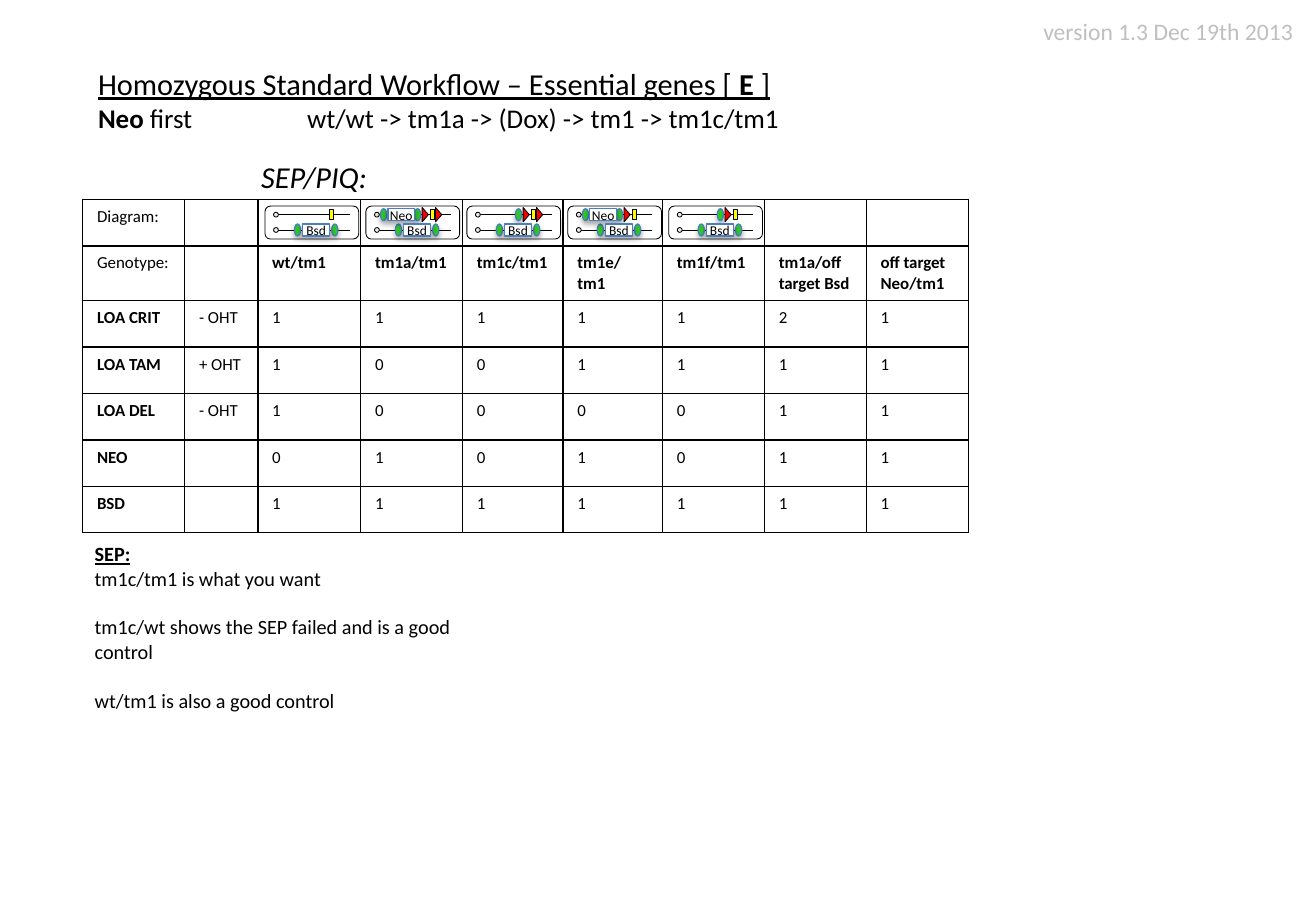
from dataclasses import dataclass

from lxml.etree import SubElement
from pptx import Presentation
from pptx.dml.color import RGBColor
from pptx.enum.shapes import MSO_CONNECTOR, MSO_SHAPE as SHAPE
from pptx.enum.text import MSO_ANCHOR, PP_ALIGN
from pptx.oxml import parse_xml
from pptx.oxml.ns import nsdecls, qn
from pptx.util import Cm, Pt


@dataclass(frozen=True)
class Theme:
    font: str = "Calibri"
    black: str = "000000"
    grey: str = "BFBFBF"
    white: str = "FFFFFF"
    ring: str = "EEECE1"
    exon: str = "FFFF00"
    lox: str = "FF0000"
    frt: str = "2EC728"
    outline: str = "4B7EBC"
    title: float = 18
    subtitle: float = 16
    version: float = 14
    notes: float = 12
    cell: float = 10
    label: float = 8
    thin: float = 0.5
    medium: float = 0.75


theme = Theme()


def write(paragraph, runs, size, color=theme.black, bold=None):
    """Fill a paragraph with (text, bold) runs in one font."""
    font = paragraph.font
    font.name, font.size, font.bold = theme.font, Pt(size), bold
    font.color.rgb = RGBColor.from_string(color)
    for text, strong in runs:
        run = paragraph.add_run()
        run.text = text
        if strong:
            run.font.bold = True
    return paragraph


def add_part(group, kind, center_x, center_y, width, height, fill, raised=False):
    """Add a shape by its centre; raised parts get a blue outline and a shadow."""
    part = group.shapes.add_shape(kind, Cm(center_x - width / 2), Cm(center_y - height / 2),
                                  Cm(width), Cm(height))
    part.shadow.inherit = False
    if fill:
        part.fill.solid()
        part.fill.fore_color.rgb = RGBColor.from_string(fill)
    else:
        part.fill.background()
    part.line.color.rgb = RGBColor.from_string(theme.outline if raised else theme.black)
    part.line.width = Pt(theme.medium if raised else theme.thin)
    if raised:
        part._element.spPr.find(qn("a:effectLst")).append(parse_xml(
            f'<a:outerShdw {nsdecls("a")} blurRad="40000" dist="23000" dir="5400000" '
            f'rotWithShape="0"><a:srgbClr val="{theme.black}"><a:alpha val="35000"/>'
            '</a:srgbClr></a:outerShdw>'))
    return part


deck = Presentation()
deck.slide_width, deck.slide_height = Cm(27.51), Cm(19.05)
slide = deck.slides.add_slide(deck.slide_layouts[6])

# Text boxes
frames = []
for left, top, width, height in [(1.8, 1.24, 14.99, 1.7), (5.21, 3.18, 2.95, 1.02),
                                 (21.56, 0.23, 5.95, 0.86), (1.73, 11.2, 8.53, 3.84)]:
    frame = slide.shapes.add_textbox(Cm(left), Cm(top), Cm(width), Cm(height)).text_frame
    frame.word_wrap = True
    frames.append(frame)
heading, section, version, notes = frames

title = write(heading.paragraphs[0],
              [("Homozygous Standard Workflow – Essential genes [ ", False), ("E", True),
               (" ]", False)], theme.title)
title.font.underline = True
workflow = write(heading.add_paragraph(),
                 [("Neo", True), (" first\twt/wt -> tm1a -> (Dox) -> tm1 -> tm1c/tm1", False)],
                 theme.subtitle)
workflow._p.get_or_add_pPr().insert(0, parse_xml(
    f'<a:tabLst {nsdecls("a")}><a:tab pos="{Cm(4.37)}" algn="l"/></a:tabLst>'))

write(section.paragraphs[0], [("SEP/PIQ:", False)], theme.title).font.italic = True
write(version.paragraphs[0], [("version 1.3 Dec 19th 2013", False)], theme.version, theme.grey)

write(notes.paragraphs[0], [("SEP:", False)], theme.notes, bold=True).font.underline = True
for text, gap in [("tm1c/tm1 is what you want", 0),
                  ("tm1c/wt shows the SEP failed and is a good control", 14.6),
                  ("wt/tm1 is also a good control", 14.6)]:
    write(notes.add_paragraph(), [(text, False)], theme.notes).space_before = Pt(gap)

# Genotype table
rows = [
    ["Diagram:"] + [""] * 8,
    ["Genotype:", "", "wt/tm1", "tm1a/tm1", "tm1c/tm1", "tm1e/tm1", "tm1f/tm1",
     "tm1a/off target Bsd", "off target Neo/tm1"],
    ["LOA CRIT", "- OHT", *"1111121"],
    ["LOA TAM", "+ OHT", *"1001111"],
    ["LOA DEL", "- OHT", *"1000011"],
    ["NEO", "", *"0101011"],
    ["BSD", "", *"1111111"],
]
column_widths = [2.13, 1.53, 2.15, 2.13, 2.1, 2.08, 2.13, 2.13, 2.13]
row_height = 0.97
table = slide.shapes.add_table(len(rows), len(column_widths), Cm(1.73), Cm(4.17),
                               Cm(sum(column_widths)), Cm(row_height * len(rows))).table
table.first_row = table.horz_banding = False
for column, width in zip(table.columns, column_widths):
    column.width = Cm(width)
for r, texts in enumerate(rows):
    table.rows[r].height = Cm(row_height)
    for c, text in enumerate(texts):
        cell = table.cell(r, c)
        cell.margin_left = cell.margin_right = Cm(0.3)
        cell.margin_top = cell.margin_bottom = Cm(0.15)
        cell.fill.background()
        bold = (r == 1 and c > 0) or (r > 1 and c == 0)
        paragraph = write(cell.text_frame.paragraphs[0], [(text, False)] if text else [],
                          theme.cell, bold=bold)
        if not text:
            SubElement(paragraph._p, qn("a:endParaRPr"), sz=str(theme.cell * 100))
        for place, side in enumerate(["lnL", "lnR", "lnT", "lnB"]):
            cell._tc.get_or_add_tcPr().insert(place, parse_xml(
                f'<a:{side} {nsdecls("a")} w="{Pt(1)}"><a:solidFill>'
                f'<a:srgbClr val="{theme.black}"/></a:solidFill></a:{side}>'))

# Allele diagrams: lox sites, FRT sites and cassette on the upper strand
diagrams = [
    ([], [], None),
    ([1.24, 1.52], [0.37, 1.08], "Neo"),
    ([1.24, 1.52], [1.08], None),
    ([1.24], [0.37, 1.08], "Neo"),
    ([1.24], [1.08], None),
]
card_width, card_height = 1.96, 0.69
for index, (lox_sites, frt_sites, cassette) in enumerate(diagrams):
    left, top = 5.54 + 2.11 * index, 4.31
    upper, lower = top + 0.18, top + 0.5
    group = slide.shapes.add_group_shape()
    add_part(group, SHAPE.ROUNDED_RECTANGLE, left + card_width / 2, top + card_height / 2,
             card_width, card_height, None)

    # Strands
    for y in (upper, lower):
        strand = group.shapes.add_connector(MSO_CONNECTOR.STRAIGHT, Cm(left + 0.28), Cm(y),
                                            Cm(left + 1.77), Cm(y))
        strand.line.color.rgb = RGBColor.from_string(theme.black)
        strand.line.width = Pt(theme.thin)
        SubElement(strand._element.spPr, qn("a:effectLst"))
        add_part(group, SHAPE.OVAL, left + 0.23, y, 0.1, 0.1, theme.ring)

    # Exon and recombination sites
    add_part(group, SHAPE.RECTANGLE, left + 1.39, upper, 0.08, 0.2, theme.exon)
    for x in lox_sites:
        add_part(group, SHAPE.ISOSCELES_TRIANGLE, left + x, upper, 0.3, 0.13,
                 theme.lox).rotation = 90
    sites = [(x, upper) for x in frt_sites] + [(0.68, lower), (1.46, lower)]
    for x, y in sites:
        add_part(group, SHAPE.OVAL, left + x, y, 0.13, 0.25, theme.frt, raised=True)

    # Cassettes
    for name, x, y in [(cassette, 0.74, upper), ("Bsd", 1.07, lower)]:
        if name:
            box = add_part(group, SHAPE.RECTANGLE, left + x, y, 0.56, 0.25, theme.white,
                           raised=True)
            label = box.text_frame
            label.margin_left = label.margin_right = label.margin_top = label.margin_bottom = 0
            label.word_wrap = False
            label.vertical_anchor = MSO_ANCHOR.MIDDLE
            write(label.paragraphs[0], [(name, False)], theme.label).alignment = PP_ALIGN.CENTER

deck.save("out.pptx")
